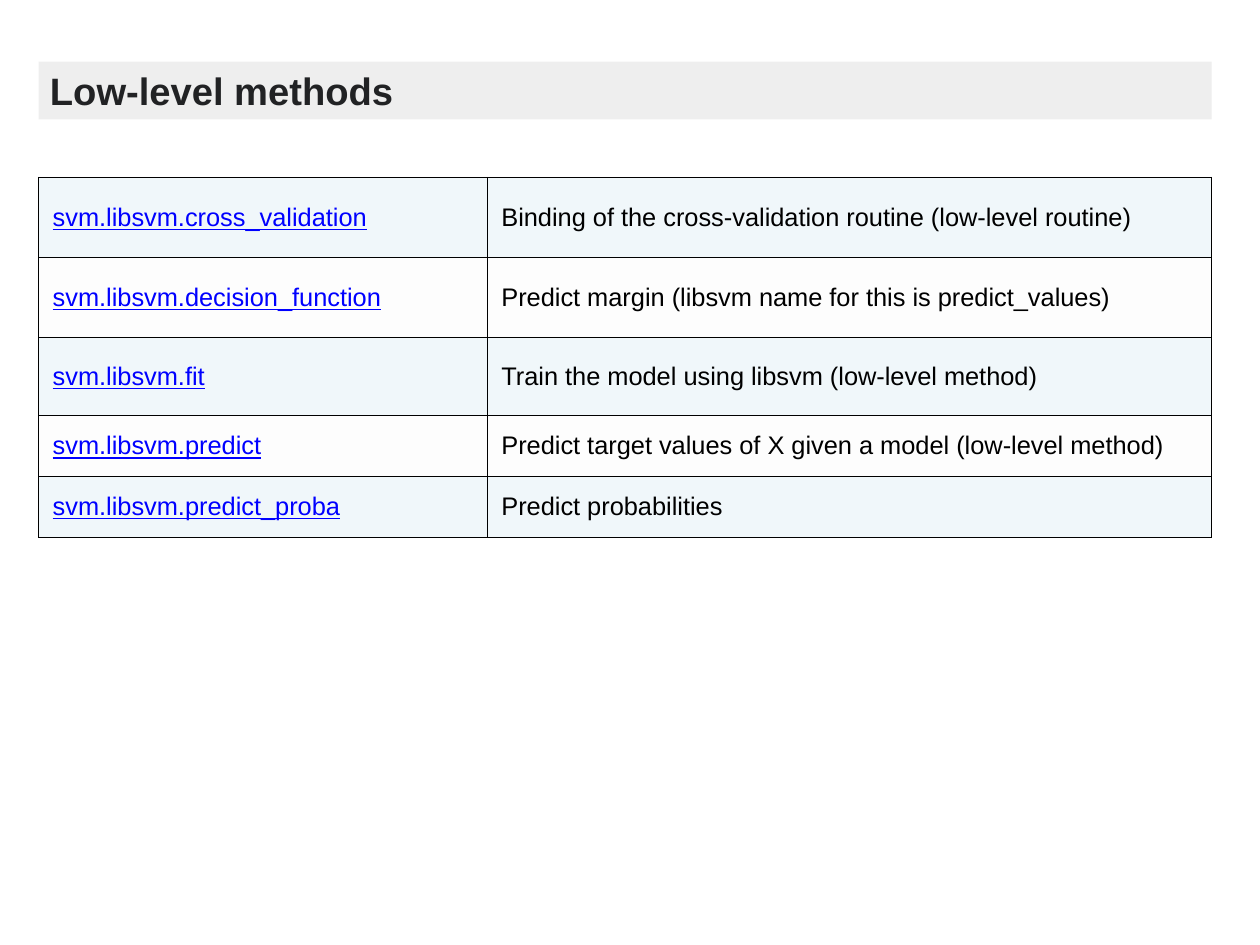
from lxml import etree
from pptx import Presentation
from pptx.dml.color import RGBColor
from pptx.enum import shapes, text
from pptx.oxml import ns
from pptx.util import Cm, Pt

BLACK = RGBColor(0x00, 0x00, 0x00)
LINK_BLUE = RGBColor(0x00, 0x00, 0xFF)
TITLE_INK = RGBColor(0x21, 0x22, 0x24)
TITLE_GREY = RGBColor(0xEE, 0xEE, 0xEE)
ROW_FILLS = [RGBColor(0xF0, 0xF7, 0xFA), RGBColor(0xFD, 0xFD, 0xFD)]

LEFT, WIDTH = Cm(0.86), Cm(26.04)
COLUMN_WIDTHS = [9.96, 16.08]
METHODS = [
    (1.78, "svm.libsvm.cross_validation",
     "Binding of the cross-validation routine (low-level routine)"),
    (1.78, "svm.libsvm.decision_function",
     "Predict margin (libsvm name for this is predict_values)"),
    (1.73, "svm.libsvm.fit", "Train the model using libsvm (low-level method)"),
    (1.35, "svm.libsvm.predict",
     "Predict target values of X given a model (low-level method)"),
    (1.35, "svm.libsvm.predict_proba", "Predict probabilities"),
]
CELL_FORMAT = {
    "margin_left": Cm(0.31), "margin_right": 0, "margin_top": 0,
    "margin_bottom": 0, "vertical_anchor": text.MSO_ANCHOR.MIDDLE,
}


def write(p, wording, color, **font):
    r = p.add_run()
    r.text = wording
    r.font.name = "Arial"
    r.font.color.rgb = color
    for name, value in font.items():
        setattr(r.font, name, value)


def add_borders(cell):
    """Draw a black 1 pt line on all four sides; call before filling the cell."""
    tc_pr = cell._tc.get_or_add_tcPr()
    for side in ("a:lnL", "a:lnR", "a:lnT", "a:lnB"):
        line = etree.SubElement(tc_pr, ns.qn(side), w=str(Pt(1)))
        fill = etree.SubElement(line, ns.qn("a:solidFill"))
        etree.SubElement(fill, ns.qn("a:srgbClr"), val=str(BLACK))


prs = Presentation()
prs.slide_width, prs.slide_height = Cm(27.97), Cm(20.98)
s = prs.slides.add_slide(prs.slide_layouts[6])

# Methods table
height = Cm(sum(row_height for row_height, _, _ in METHODS))
table = s.shapes.add_table(
    len(METHODS), len(COLUMN_WIDTHS), LEFT, Cm(3.94), WIDTH, height).table
for column, width in zip(table.columns, COLUMN_WIDTHS):
    column.width = Cm(width)

for i, (row_height, method, description) in enumerate(METHODS):
    row = table.rows[i]
    row.height = Cm(row_height)
    looks = [(method, LINK_BLUE, True), (description, BLACK, False)]
    for cell, (wording, color, underline) in zip(row.cells, looks):
        for name, value in CELL_FORMAT.items():
            setattr(cell, name, value)
        add_borders(cell)
        cell.fill.solid()
        cell.fill.fore_color.rgb = ROW_FILLS[i % 2]
        write(cell.text_frame.paragraphs[0], wording, color,
              size=Pt(16), bold=False, underline=underline)

# Title bar
sp = s.shapes.add_shape(
    shapes.MSO_SHAPE.RECTANGLE, LEFT, Cm(1.37), WIDTH, Cm(1.28))
sp.shadow.inherit = False
sp.fill.solid()
sp.fill.fore_color.rgb = TITLE_GREY
sp.line.fill.background()
tf = sp.text_frame
tf.word_wrap = True
tf.vertical_anchor = text.MSO_ANCHOR.MIDDLE
p = tf.paragraphs[0]
p.alignment = text.PP_ALIGN.LEFT
write(p, "Low-level methods", TITLE_INK, size=Pt(24), bold=True)

prs.save("out.pptx")
